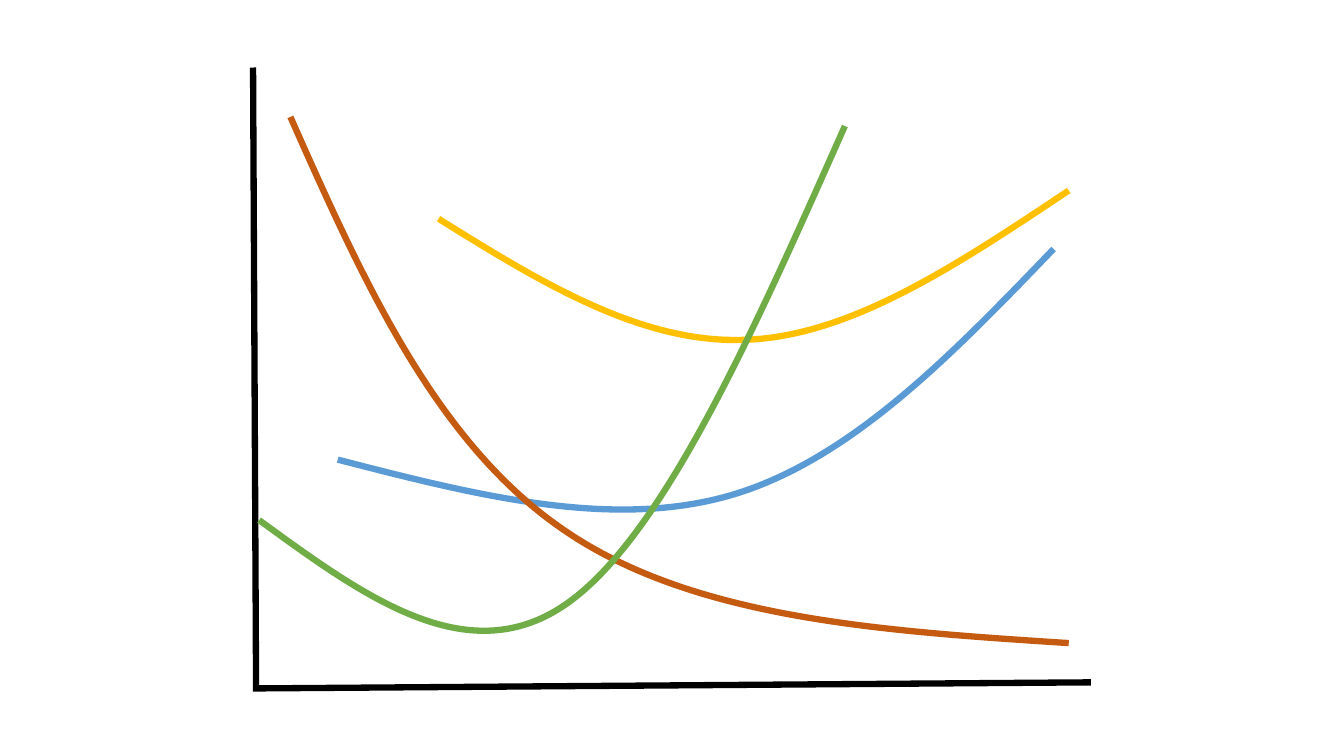
import pptx
import pptx.dml.color
import pptx.oxml.ns
import pptx.util
from lxml import etree

PX = 9144  # EMU per px, 100 px to the inch
SLIDE_SIZE = (1333, 750)
BACKGROUND = "FFFFFF"
STROKE_PT = 4.5

AXES = ("000000", [(251, 67), (254, 683), (1082, 677)])

# Each curve: colour, then start, control, control, knot, control, control, end
CURVES = [
    ("FFC000", [(435, 217), (536, 280), (637, 342), (741, 337),
                (845, 333), (952, 261), (1060, 189)]),
    ("5B9BD5", [(335, 456), (471, 491), (607, 526), (726, 491),
                (844, 456), (945, 351), (1045, 247)]),
    ("C55A11", [(288, 116), (360, 278), (432, 440), (561, 527),
                (689, 614), (875, 626), (1060, 638)]),
    ("70AD47", [(257, 516), (360, 591), (462, 666), (559, 601),
                (656, 536), (747, 330), (838, 125)]),
]


def rgb(hex_colour):
    return pptx.dml.color.RGBColor.from_string(hex_colour)


def draw_stroke(slide, colour, nodes):
    """Draw an open, unfilled outline with sharp corners."""
    builder = slide.shapes.build_freeform(*nodes[0], scale=PX)
    builder.add_line_segments(nodes[1:], close=False)
    stroke = builder.convert_to_shape()
    stroke.shadow.inherit = False
    stroke.fill.background()
    stroke.line.color.rgb = rgb(colour)
    stroke.line.width = pptx.util.Pt(STROKE_PT)
    outline = stroke.line.fill._xPr
    etree.SubElement(outline, pptx.oxml.ns.qn("a:miter"), lim="800000")
    return stroke


def curve_bottom(nodes):
    """Return the largest y that a chain of cubic Bézier segments reaches."""
    heights = []
    for first in range(0, len(nodes) - 1, 3):
        y0, y1, y2, y3 = (y for _, y in nodes[first:first + 4])
        for t in (step / 100 for step in range(101)):
            u = 1 - t
            heights.append(u**3 * y0 + 3 * t * u**2 * y1 + 3 * t**2 * u * y2 + t**3 * y3)
    return round(max(heights))


def bend(stroke, nodes):
    """Turn each three line pieces into one Bézier segment and fit the box to it."""
    qn = pptx.oxml.ns.qn
    outline = next(stroke._element.iter(qn("a:path")))
    pieces = outline.findall(qn("a:lnTo"))
    for first in range(0, len(pieces), 3):
        segment = etree.SubElement(outline, qn("a:cubicBezTo"))
        for piece in pieces[first:first + 3]:
            segment.append(piece[0])
            outline.remove(piece)
    height = curve_bottom(nodes) - min(y for _, y in nodes)
    outline.set("h", str(height))
    stroke.height = height * PX


def main():
    deck = pptx.Presentation()
    deck.slide_width, deck.slide_height = (side * PX for side in SLIDE_SIZE)
    slide = deck.slides.add_slide(deck.slide_layouts[6])
    slide.background.fill.solid()
    slide.background.fill.fore_color.rgb = rgb(BACKGROUND)

    draw_stroke(slide, *AXES)
    for colour, nodes in CURVES:
        bend(draw_stroke(slide, colour, nodes), nodes)
    deck.save("out.pptx")


if __name__ == "__main__":
    main()
